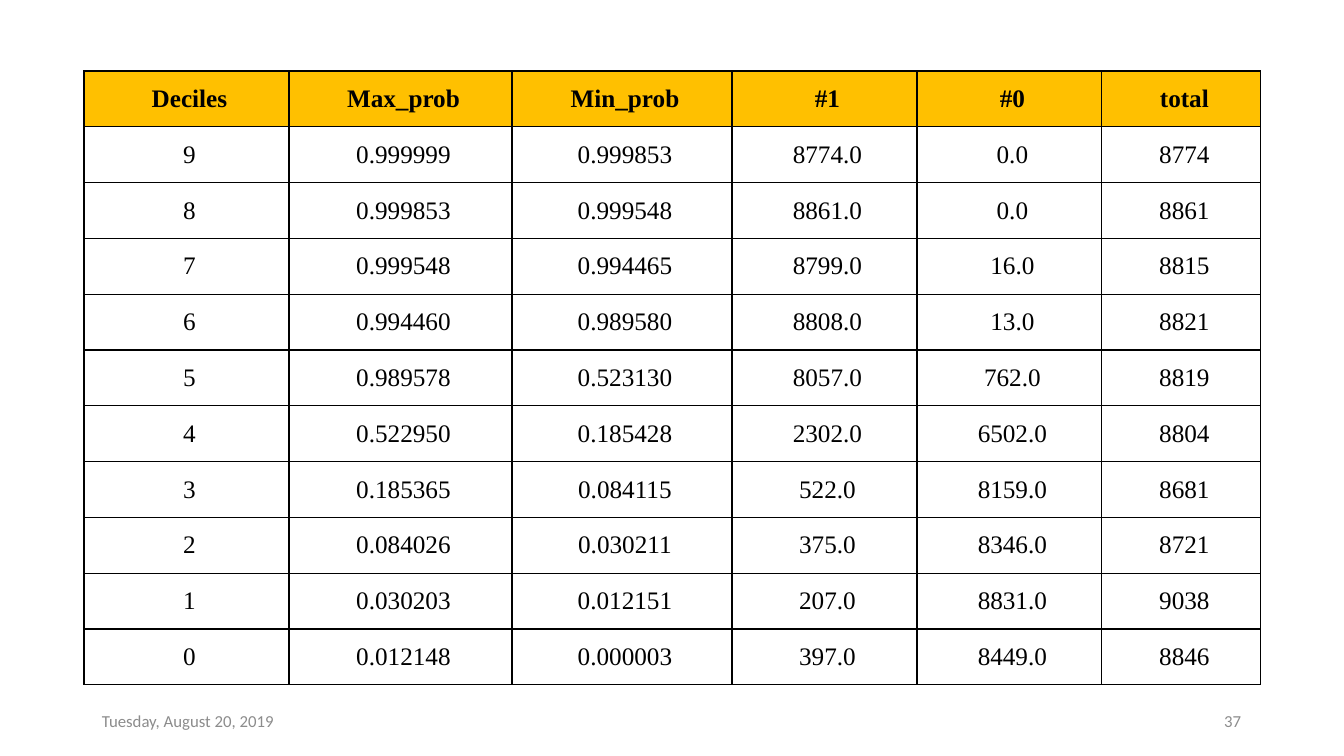
"""Build the decile table slide with its date and page number."""
from lxml import etree
from pptx import Presentation
from pptx import util as u
from pptx.dml import color
from pptx.enum import text
from pptx.oxml import ns

COLORS = {"header": "FFC000", "body": "FFFFFF", "ink": "000000", "footer": "8C8C8C"}
DECILES = [
    ["Deciles", "Max_prob", "Min_prob", "#1", "#0", "total"],
    ["9", "0.999999", "0.999853", "8774.0", "0.0", "8774"],
    ["8", "0.999853", "0.999548", "8861.0", "0.0", "8861"],
    ["7", "0.999548", "0.994465", "8799.0", "16.0", "8815"],
    ["6", "0.994460", "0.989580", "8808.0", "13.0", "8821"],
    ["5", "0.989578", "0.523130", "8057.0", "762.0", "8819"],
    ["4", "0.522950", "0.185428", "2302.0", "6502.0", "8804"],
    ["3", "0.185365", "0.084115", "522.0", "8159.0", "8681"],
    ["2", "0.084026", "0.030211", "375.0", "8346.0", "8721"],
    ["1", "0.030203", "0.012151", "207.0", "8831.0", "9038"],
    ["0", "0.012148", "0.000003", "397.0", "8449.0", "8846"],
]
COLUMN_WIDTHS = [205, 223, 220, 185, 185, 159]
TABLE_HEIGHT = 614


def px(pixels):
    return u.Emu(round(pixels * 914400 / 100.8))


def write(frame, words, font, size, ink, align, bold=False):
    para = frame.paragraphs[0]
    para.alignment = align
    span = para.add_run()
    span.text = words
    span.font.name = font
    span.font.size = u.Pt(size)
    span.font.bold = bold
    span.font.color.rgb = color.RGBColor.from_string(COLORS[ink])


deck = Presentation()
deck.slide_width, deck.slide_height = px(1344), px(756)
page = deck.slides.add_slide(deck.slide_layouts[6])

table = page.shapes.add_table(
    len(DECILES), len(COLUMN_WIDTHS), px(84), px(71), px(sum(COLUMN_WIDTHS)), px(TABLE_HEIGHT)
).table
table.horz_banding = False
for column, width in zip(table.columns, COLUMN_WIDTHS):
    column.width = px(width)

for row_index, values in enumerate(DECILES):
    table.rows[row_index].height = px(TABLE_HEIGHT / len(DECILES))
    is_header = row_index == 0
    for column_index, value in enumerate(values):
        cell = table.cell(row_index, column_index)
        cell.vertical_anchor = text.MSO_ANCHOR.MIDDLE
        cell.margin_left, cell.margin_right = px(22), px(16)
        cell.margin_top = cell.margin_bottom = px(11)
        properties = cell._tc.get_or_add_tcPr()
        for side in ("a:lnL", "a:lnR", "a:lnT", "a:lnB"):
            border = etree.SubElement(properties, ns.qn(side), w=str(u.Pt(1)))
            paint = etree.SubElement(border, ns.qn("a:solidFill"))
            etree.SubElement(paint, ns.qn("a:srgbClr"), val=COLORS["ink"])
        cell.fill.solid()
        fill_name = "header" if is_header else "body"
        cell.fill.fore_color.rgb = color.RGBColor.from_string(COLORS[fill_name])
        write(cell.text_frame, value, font="Times New Roman", size=18, ink="ink",
              align=text.PP_ALIGN.CENTER, bold=is_header)

for left, words, align in [
    (92, "Tuesday, August 20, 2019", text.PP_ALIGN.LEFT),
    (949, "37", text.PP_ALIGN.RIGHT),
]:
    box = page.shapes.add_textbox(px(left), px(701), px(302), px(40))
    box.text_frame.word_wrap = True
    box.text_frame.vertical_anchor = text.MSO_ANCHOR.MIDDLE
    write(box.text_frame, words, font="Calibri", size=12, ink="footer", align=align)

deck.save("out.pptx")
